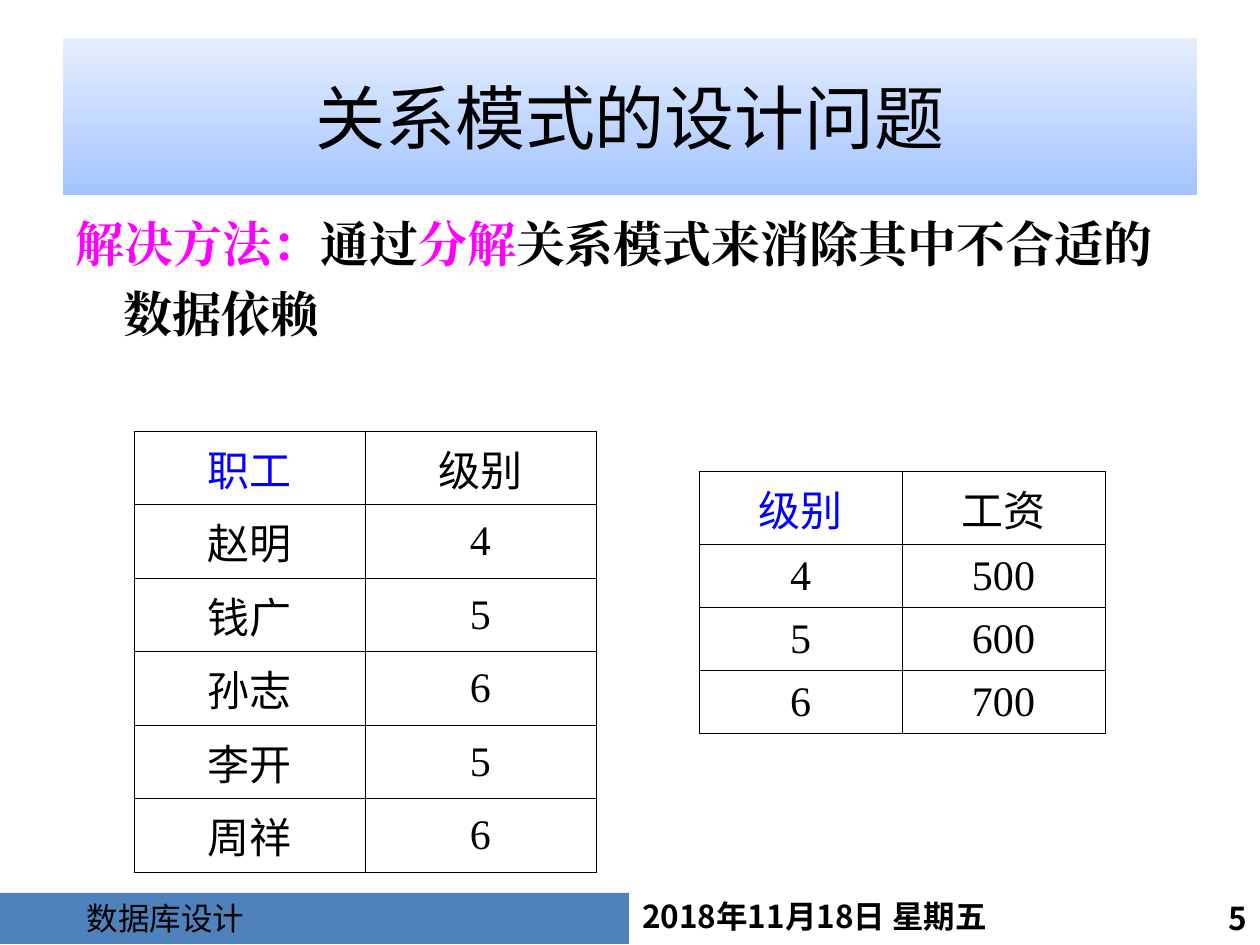
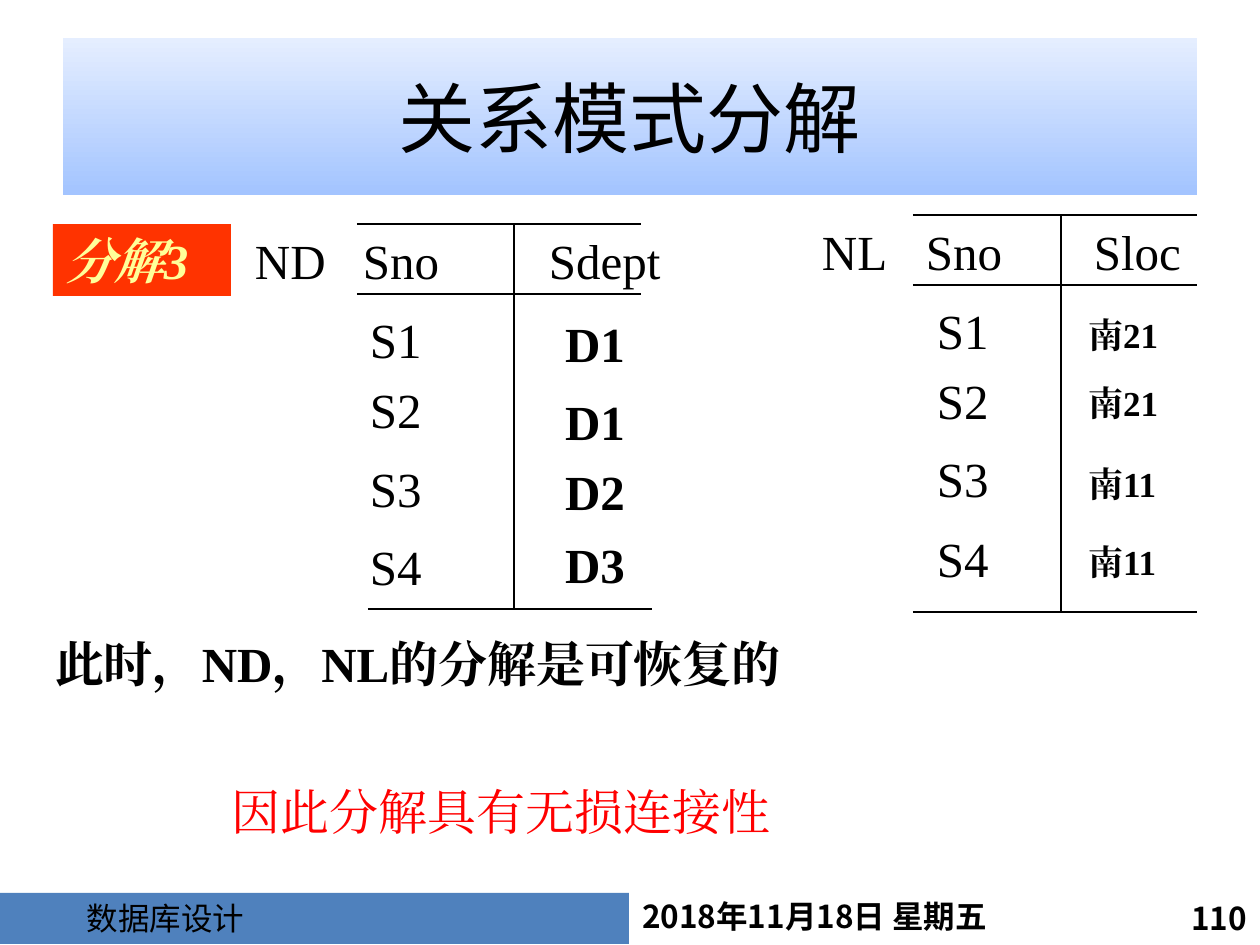
from lxml import etree
from pptx import Presentation
from pptx.dml.color import RGBColor as Rgb
from pptx.enum.shapes import MSO_CONNECTOR as Connector, MSO_SHAPE as Preset
from pptx.enum.text import MSO_ANCHOR as Anchor, MSO_AUTO_SIZE as AutoSize, PP_ALIGN as Align
from pptx.oxml.ns import qn
from pptx.util import Pt

# Shared style
COLOURS = {
    "black": "000000", "white": "FFFFFF", "magenta": "FF00FF", "blue": "0000FF",
    "red": "FF0000", "orange": "FF3300", "yellow": "FFFF99", "band": "4F81BD",
    "title_low": "A3C4FF", "title_high": "E5EEFF",
}
SERIF, SANS, FOOTER_SANS = "Times New Roman", "Noto Sans CJK SC", "Noto Sans CJK JP"
LAYOUT_BODY, LAYOUT_TITLE = 1, 5
SIZE = (1260, 945)
TITLE_BOX = (63, 38, 1134, 157)
BODY_BOX = (63, 195, 1134, 694)
INSET_X, INSET_Y = 13, 6

# Content: footers
FOOTER = "数据库设计"
DATE = "2018年11月18日 星期五"

# Content: design problem slide
SOLUTION = [("解决方法：", "magenta"), ("通过", "black"), ("分解", "magenta"),
            ("关系模式来消除其中不合适的数据依赖", "black")]
GRIDS = [  # left, top, column width, rows
    (134, 431, 231, [("职工", "级别"), ("赵明", "4"), ("钱广", "5"),
                     ("孙志", "6"), ("李开", "5"), ("周祥", "6")]),
    (699, 471, 203, [("级别", "工资"), ("4", "500"), ("5", "600"), ("6", "700")]),
]
ROW_HEIGHT = 63

# Content: decomposition slide
KEYS = ["S1", "S2", "S3", "S4"]
KEY_STEPS = [79, 149, 228, 307]
RELATIONS = [
    {"name": "ND", "left": 357, "top": 224, "name_left": 242, "head_lefts": (350, 536),
     "heads": ("Sno", "Sdept"), "key_left": 357, "divider": 514, "bottom": 609,
     "bottom_left": 368, "values": ["D1", "D1", "D2", "D3"], "value_left": 552,
     "value_tops": [307, 385, 455, 528], "value_size": 28},
    {"name": "NL", "left": 913, "top": 215, "name_left": 809, "head_lefts": (913, 1081),
     "heads": ("Sno", "Sloc"), "key_left": 924, "divider": 1061, "bottom": 612,
     "bottom_left": 913, "values": ["南21", "南21", "南11", "南11"], "value_left": 1075,
     "value_tops": [307, 375, 456, 534], "value_size": 20},
]
RULE_WIDTH, HEAD_HEIGHT = 284, 70
BANNERS = [  # text, box, fill, colour, bold, italic
    ("分解3", (53, 224, 178, 72), "orange", "yellow", True, True),
    ("此时，ND，NL的分解是可恢复的", (42, 627, 1176, 72), "white", "black", True, False),
    ("因此分解具有无损连接性", (219, 775, 796, 72), "white", "red", False, False),
]


def px(length):
    return round(length * 914400 / 126)


def rgb(name):
    return Rgb.from_string(COLOURS[name])


def add_run(paragraph, text, size, colour="black", font=SERIF, bold=False, italic=False,
            east_asian=None):
    run = paragraph.add_run()
    run.text = text
    run.font.size, run.font.bold, run.font.italic = Pt(size), bold, italic
    run.font.color.rgb = rgb(colour)
    run.font.name = font
    latin = run.font._element.find(qn("a:latin"))
    element = etree.Element(qn("a:ea"), typeface=east_asian or font)
    latin.addnext(element)


def place(shape, box):
    shape.left, shape.top, shape.width, shape.height = map(px, box)


def add_box(slide, box, text, size, fill=None, align=Align.LEFT, indent=0, **style):
    """Text box, or a rectangle when a fill is given."""
    if fill:
        shape = slide.shapes.add_shape(Preset.RECTANGLE, *map(px, box))
        shape.shadow.inherit = False
        shape.fill.solid()
        shape.fill.fore_color.rgb = rgb(fill)
        shape.line.fill.background()
    else:
        shape = slide.shapes.add_textbox(*map(px, box))
    frame = shape.text_frame
    frame.word_wrap = True
    frame.auto_size = AutoSize.NONE
    frame.vertical_anchor = Anchor.TOP
    frame.margin_left, frame.margin_right = px(INSET_X + indent), px(INSET_X)
    frame.margin_top = frame.margin_bottom = px(INSET_Y)
    frame.paragraphs[0].alignment = align
    add_run(frame.paragraphs[0], text, size, **style)


def add_line(slide, x1, y1, x2, y2):
    line = slide.shapes.add_connector(Connector.STRAIGHT, *map(px, (x1, y1, x2, y2)))
    line.line.color.rgb = rgb("black")
    line.line.width = Pt(0.75)
    etree.SubElement(line._element.spPr, qn("a:effectLst"))


def add_slide(presentation, layout, title, title_size, number):
    """Slide with the shared title band and footers."""
    slide = presentation.slides.add_slide(presentation.slide_layouts[layout])
    add_box(slide, (629, 891, 449, 50), DATE, 18, font=SANS, bold=True)
    add_box(slide, (1096, 893, 164, 58), number, 18, align=Align.RIGHT, font=SANS, bold=True)
    add_box(slide, (0, 893, 629, 51), FOOTER, 18, fill="band", indent=74, font=FOOTER_SANS)
    shape = slide.shapes.title
    place(shape, TITLE_BOX)
    shape.fill.gradient()
    shape.fill.gradient_angle = 90
    for stop, name in zip(shape.fill.gradient_stops, ("title_low", "title_high")):
        stop.color.rgb = rgb(name)
    frame = shape.text_frame
    frame.auto_size = AutoSize.NONE
    frame.vertical_anchor = Anchor.MIDDLE
    frame.paragraphs[0].alignment = Align.CENTER
    add_run(frame.paragraphs[0], title, title_size, font=SANS)
    return slide


def border_cell(cell):
    cell.fill.background()
    properties = cell._tc.get_or_add_tcPr()
    for index, side in enumerate(("lnL", "lnR", "lnT", "lnB")):
        line = etree.Element(qn(f"a:{side}"), w=str(Pt(0.45)))
        fill = etree.SubElement(line, qn("a:solidFill"))
        etree.SubElement(fill, qn("a:srgbClr"), val=COLOURS["black"])
        properties.insert(index, line)


def add_grid(slide, left, top, column_width, rows):
    columns = len(rows[0])
    box = (left, top, column_width * columns, ROW_HEIGHT * len(rows))
    table = slide.shapes.add_table(len(rows), columns, *map(px, box)).table
    table.first_row = table.horz_banding = False
    for r, row in enumerate(rows):
        for c, text in enumerate(row):
            cell = table.cell(r, c)
            border_cell(cell)
            cell.vertical_anchor = Anchor.MIDDLE
            paragraph = cell.text_frame.paragraphs[0]
            paragraph.alignment = Align.CENTER
            add_run(paragraph, text, 24, "blue" if r == c == 0 else "black", east_asian=SANS)


def add_solution(slide):
    body = slide.placeholders[1]
    place(body, BODY_BOX)
    body.text_frame.auto_size = AutoSize.NONE
    paragraph = body.text_frame.paragraphs[0]
    properties = paragraph._p.get_or_add_pPr()
    properties.set("marL", str(px(48)))
    properties.set("indent", str(-px(48)))
    etree.SubElement(properties, qn("a:buNone"))
    paragraph.line_spacing = 1.2
    paragraph.space_before = Pt(0)
    for text, colour in SOLUTION:
        add_run(paragraph, text, 28, colour, bold=True)


def add_relation(slide, relation):
    left, top, bottom = relation["left"], relation["top"], relation["bottom"]
    # Rules
    for x, y in ((left, top), (left, top + HEAD_HEIGHT), (relation["bottom_left"], bottom)):
        add_line(slide, x, y, x + RULE_WIDTH, y)
    add_line(slide, relation["divider"], top, relation["divider"], bottom)
    # Name and column heads
    lefts = (relation["name_left"], *relation["head_lefts"])
    for x, text in zip(lefts, (relation["name"], *relation["heads"])):
        add_box(slide, (x, top, 150, 72), text, 28)
    # Rows
    for text, step in zip(KEYS, KEY_STEPS):
        add_box(slide, (relation["key_left"], top + step, 126, 72), text, 28)
    size = relation["value_size"]
    for text, y in zip(relation["values"], relation["value_tops"]):
        add_box(slide, (relation["value_left"], y, 105, 2 * size + 16), text, size, bold=True)


def main():
    presentation = Presentation()
    presentation.slide_width, presentation.slide_height = map(px, SIZE)

    # Design problem
    slide = add_slide(presentation, LAYOUT_BODY, "关系模式的设计问题", 40, "5")
    add_solution(slide)
    for grid in GRIDS:
        add_grid(slide, *grid)

    # Decomposition
    slide = add_slide(presentation, LAYOUT_TITLE, "关系模式分解", 44, "110")
    for text, box, fill, colour, bold, italic in BANNERS:
        add_box(slide, box, text, 28, fill=fill, colour=colour, bold=bold, italic=italic)
    for relation in RELATIONS:
        add_relation(slide, relation)

    presentation.save("out.pptx")


if __name__ == "__main__":
    main()
